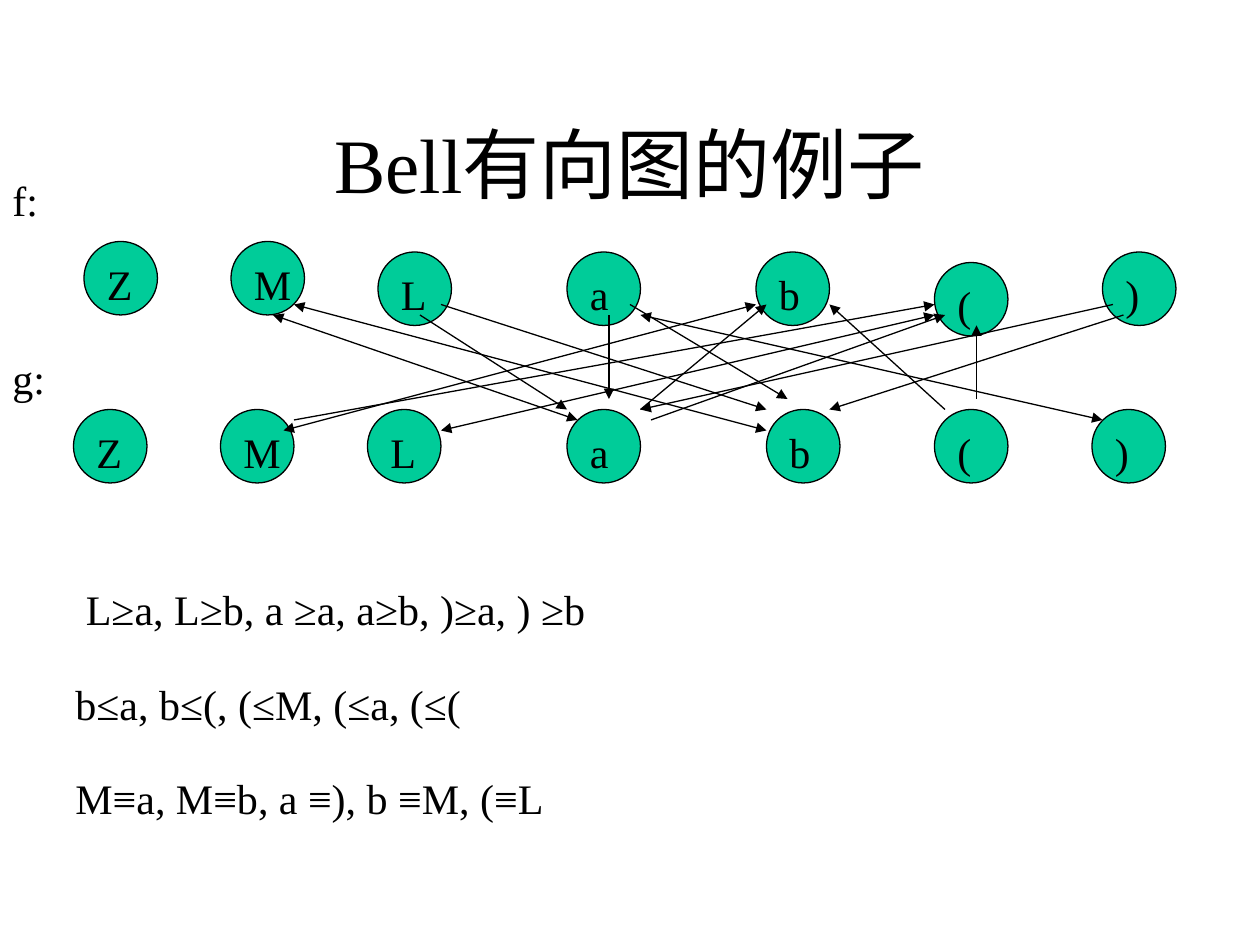
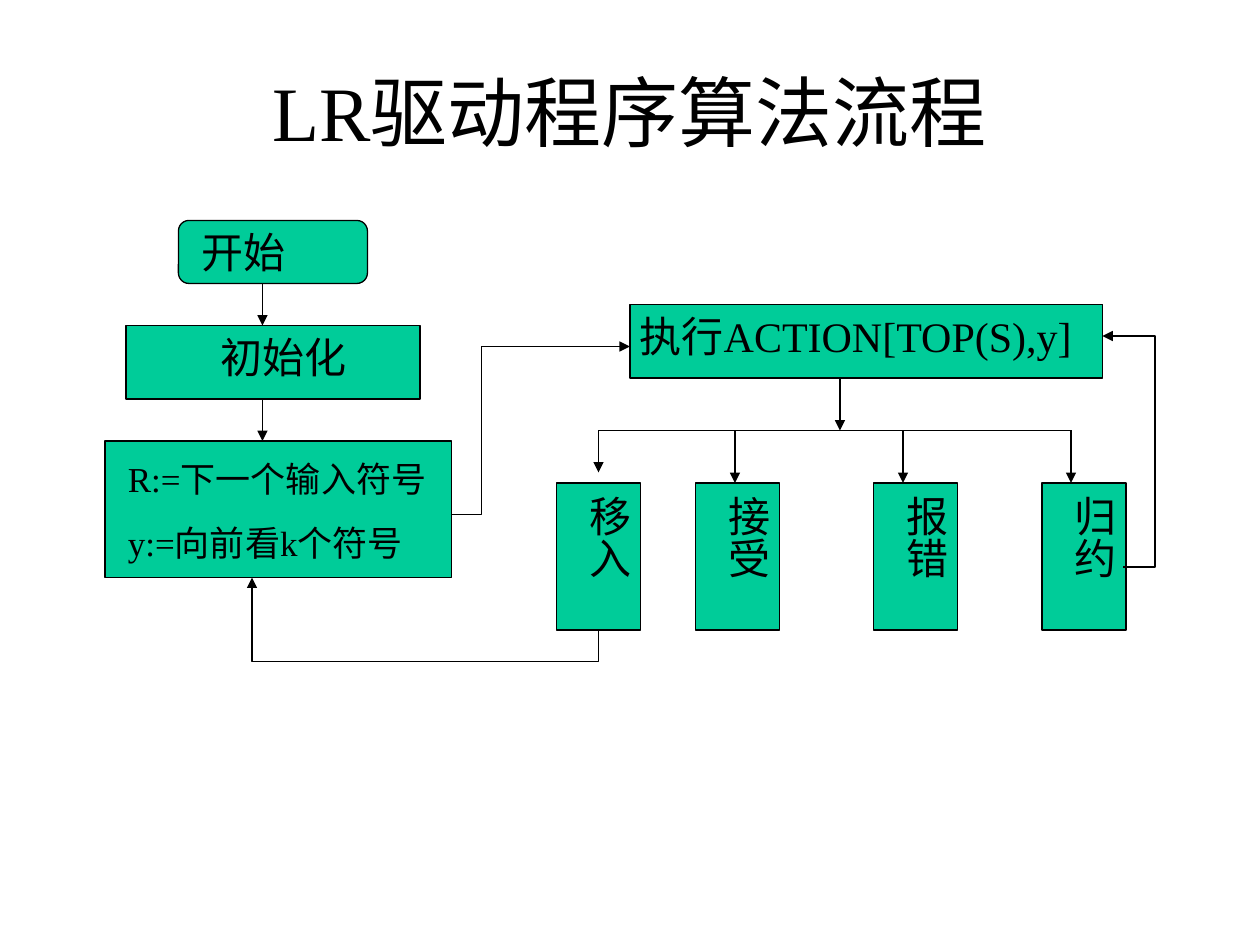
from lxml.etree import SubElement
from pptx import Presentation
from pptx.dml.color import RGBColor
from pptx.enum.shapes import MSO_CONNECTOR as Connector, MSO_SHAPE as Preset
from pptx.enum.text import MSO_ANCHOR as Anchor, MSO_AUTO_SIZE as AutoSize, PP_ALIGN as Align
from pptx.oxml.ns import qn
from pptx.util import Cm, Pt

COLORS = {"background": "FFFFFF", "node": "00CC99", "ink": "000000"}
FONT = "Times New Roman"
STEP = 2.54 / 12  # every place and size below counts steps of this many cm

# Slide 1: two rows of symbols joined by relation arrows
BELL_TITLE = "Bell有向图的例子"
SYMBOLS = "ZMLab()"
F_ROW = [(8, 23), (22, 23), (36, 24), (54, 24), (72, 24), (89, 25), (105, 24)]
G_ROW = [(left, 39) for left in (7, 21, 35, 54, 73, 89, 104)]
CIRCLE = 7
NOTES = [
    ("L≥a, L≥b, a ≥a, a≥b, )≥a, ) ≥b", (7, 55, 95, 6)),
    ("b≤a, b≤(, (≤M, (≤a, (≤(", (6, 64, 104, 6)),
    ("M≡a, M≡b, a ≡), b ≡M, (≡L", (6, 73, 93, 6)),
    ("f:", (0, 16, 16, 6)),
    ("g:", (0, 33, 24, 6)),
]
GREATER = [
    ((40, 30), (54, 39)), ((42, 29), (73, 39)), ((58, 30), (58, 38)),
    ((60, 29), (75, 38)), ((106, 29), (61, 39)), ((107, 30), (79, 39)),
]
LESS = [
    ((61, 39), (73, 29)), ((90, 39), (79, 29)), ((28, 40), (89, 29)),
    ((62, 40), (90, 30)), ((93, 38), (93, 31)),
]
EQUAL = [
    ((26, 30), (55, 40)), ((28, 29), (73, 41)), ((61, 30), (105, 40)),
    ((72, 29), (27, 41)), ((89, 30), (42, 41)),
]
RELATIONS = [
    (GREATER, ("tailEnd",)),
    (LESS, ("tailEnd",)),
    (EQUAL, ("headEnd", "tailEnd")),
]

# Slide 2: flow chart
FLOW_TITLE = "LR驱动程序算法流程"
STEPS = [  # preset, box, lines, label box, size, alignment
    (Preset.FLOWCHART_ALTERNATE_PROCESS, (17, 21, 18, 6),
     ["开始"], (18, 21, 17, 6), 24, Align.LEFT),
    (Preset.FLOWCHART_PROCESS, (12, 31, 28, 7),
     ["初始化"], (15, 31, 24, 6), 24, Align.CENTER),
    (Preset.RECTANGLE, (10, 42, 33, 13),
     ["R:=下一个输入符号", "y:=向前看k个符号"], (11, 43, 32, 11.3), 20, Align.LEFT),
    (Preset.FLOWCHART_PROCESS, (60, 29, 45, 7),
     ["执行ACTION[TOP(S),y]"], (56, 29, 51, 6), 24, Align.CENTER),
]
RAIL = 41
ACTIONS = [  # word, box left, arrow x, arrow end
    ("移入", 53, 57, 45),
    ("接受", 66.24, 70, 46),
    ("报错", 83.16, 86, 46),
    ("归约", 99.24, 102, 46),
]
ACTION_TOP, ACTION_WIDTH, ACTION_HEIGHT = 46, 8, 14
DOWN_ARROWS = [((25, 27), (25, 31)), ((25, 38), (25, 42)), ((80, 36), (80, RAIL))]
BENT_ARROWS = [
    [(43, 49), (45.84, 49), (45.84, 33), (60, 33)],
    [(57, 60), (57, 63), (24, 63), (24, 55)],
    [(107, 54), (110, 54), (110, 32), (105, 32)],
]


def grid(*steps):
    """Turn counts of grid steps into lengths."""
    return [Cm(count * STEP) for count in steps]


def color(name):
    """Look up a colour by its role."""
    return RGBColor.from_string(COLORS[name])


def style_line(shape, ends=()):
    """Give a thin line with triangles at the named ends."""
    shape.line.color.rgb = color("ink")
    shape.line.width = Pt(0.75)
    outline = shape.element.spPr.find(qn("a:ln"))
    for end in ends:
        SubElement(outline, qn(f"a:{end}"), type="triangle")


def add_node(shapes, preset, box):
    """Add a green outlined shape."""
    node = shapes.add_shape(preset, *grid(*box))
    node.shadow.inherit = False
    node.fill.solid()
    node.fill.fore_color.rgb = color("node")
    style_line(node)


def add_text(shapes, lines, box, size=24, align=Align.LEFT, gap=0.625):
    """Add a text box whose space before is a share of the font size."""
    text_box = shapes.add_textbox(*grid(*box))
    frame = text_box.text_frame
    frame.word_wrap = True
    frame.auto_size = AutoSize.SHAPE_TO_FIT_TEXT
    frame.text = "\n".join(lines)
    for paragraph in frame.paragraphs:
        paragraph.alignment = align
        paragraph.space_before = Pt(size * gap)
        paragraph.font.size = Pt(size)
        paragraph.font.name = FONT
        paragraph.font.color.rgb = color("ink")
    return frame


def add_vertical_text(shapes, word, box):
    """Add a label that reads from top to bottom."""
    frame = add_text(shapes, [word], box)
    frame.margin_left = frame.margin_right = Cm(0.13)
    frame.margin_top = frame.margin_bottom = Cm(0.25)
    frame._txBody.bodyPr.set("vert", "eaVert")


def add_line(shapes, start, end, ends=("tailEnd",)):
    """Add a straight line, by default with an arrowhead at its end."""
    line = shapes.add_connector(Connector.STRAIGHT, *grid(*start, *end))
    style_line(line, ends)
    SubElement(line.element.spPr, qn("a:effectLst"))


def add_bent_arrow(shapes, points):
    """Add an open path through the points with an arrowhead at its end."""
    start, *rest = [grid(*point) for point in points]
    builder = shapes.build_freeform(*start)
    builder.add_line_segments(rest, close=False)
    path_shape = builder.convert_to_shape()
    path_shape.shadow.inherit = False
    path_shape.fill.background()
    style_line(path_shape, ("tailEnd",))


def add_slide(presentation, title, title_top):
    """Add a slide with its title and return its shapes."""
    slide = presentation.slides.add_slide(presentation.slide_layouts[6])
    slide.background.fill.solid()
    slide.background.fill.fore_color.rgb = color("background")
    frame = add_text(slide.shapes, [title], (9, title_top, 102, 15), 44, Align.CENTER, 0)
    frame.auto_size = AutoSize.NONE
    frame.vertical_anchor = Anchor.MIDDLE
    return slide.shapes


def build_bell_slide(presentation):
    """Draw the directed graph and its relations."""
    shapes = add_slide(presentation, BELL_TITLE, 8)
    nodes = shapes.add_group_shape().shapes
    for row in (F_ROW, G_ROW):
        for symbol, (left, top) in zip(SYMBOLS, row):
            add_node(nodes, Preset.OVAL, (left, top, CIRCLE, CIRCLE))
            add_text(nodes, [symbol], (left + 1, top + 1, CIRCLE, 6))
    for text, box in NOTES:
        add_text(shapes, [text], box)
    for arrows, ends in RELATIONS:
        group = shapes.add_group_shape().shapes
        for start, end in arrows:
            add_line(group, start, end, ends)


def build_flow_slide(presentation):
    """Draw the flow chart of the driver."""
    shapes = add_slide(presentation, FLOW_TITLE, 3)
    for preset, box, lines, label_box, size, align in STEPS:
        add_node(shapes, preset, box)
        add_text(shapes, lines, label_box, size, align)
    for start, end in DOWN_ARROWS:
        add_line(shapes, start, end)
    add_line(shapes, (ACTIONS[0][2], RAIL), (ACTIONS[-1][2], RAIL), ends=())
    for word, left, arrow_x, arrow_end in ACTIONS:
        add_node(shapes, Preset.FLOWCHART_PROCESS,
                 (left, ACTION_TOP, ACTION_WIDTH, ACTION_HEIGHT))
        add_vertical_text(shapes, word, (left + 0.8, ACTION_TOP, 7.2, 11))
        add_line(shapes, (arrow_x, RAIL), (arrow_x, arrow_end))
    for points in BENT_ARROWS:
        add_bent_arrow(shapes, points)


presentation = Presentation()
presentation.slide_width, presentation.slide_height = Cm(25.4), Cm(19.05)
build_bell_slide(presentation)
build_flow_slide(presentation)
presentation.save("out.pptx")
